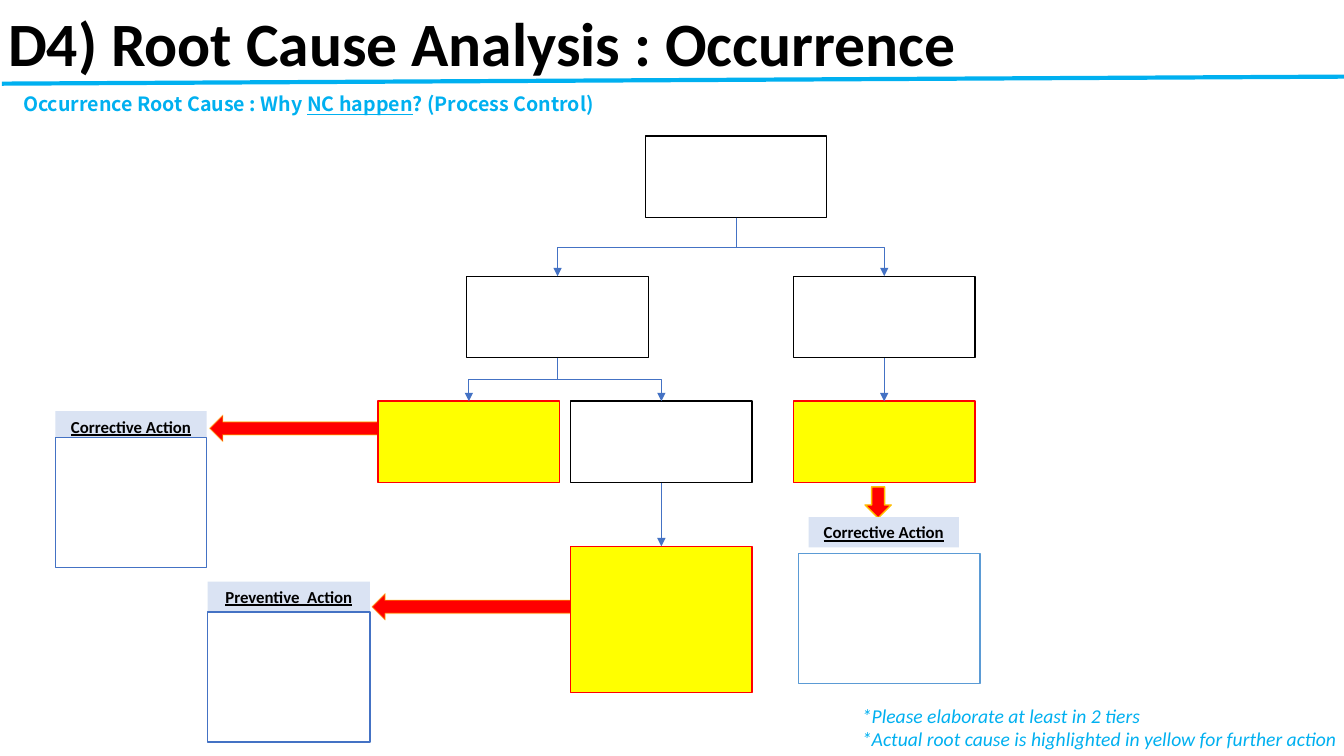
import pptx
import pptx.util
import pptx.dml.color
import pptx.enum.shapes
import pptx.enum.text
from dataclasses import dataclass
from lxml import etree

# Content
TITLE = "D4) Root Cause Analysis : Occurrence"
LEAD = [[("Occurrence Root Cause : Why ", False), ("NC happen", True),
         ("? (Process Control)", False)]]
NOTES = ["*Please elaborate at least in 2 tiers",
         "*Actual root cause is highlighted in yellow for further action"]

# Grid in inches: column centres, row tops, box size
COLS = {"a": 4.65, "b": 5.53, "c": 6.56, "d": 7.3, "e": 8.77}
ROWS = [1.35, 2.74, 3.98, 5.42]
WIDE, HIGH, DEEP = 1.8, 0.81, 1.45
HEAD, BODY = 0.3, 1.29

# Cause boxes: column, row, is root cause
CAUSES = {"top": ("d", 0, False), "left": ("b", 1, False),
          "right": ("e", 1, False), "root1": ("a", 2, True),
          "mid": ("c", 2, False), "root2": ("e", 2, True),
          "root3": ("c", 3, True)}
LINKS = [("top", "left"), ("top", "right"), ("left", "root1"),
         ("left", "mid"), ("right", "root2"), ("mid", "root3")]

# Actions: text, head (left, top, width), body (left, top, width), line colour
ACTIONS = [("Corrective Action", (0.55, 4.08, 1.5), (0.55, 4.34, 1.5), "blue"),
           ("Preventive  Action", (2.06, 5.77, 1.61), (2.06, 6.07, 1.61), "blue"),
           ("Corrective Action", (8.02, 5.13, 1.49), (7.92, 5.49, WIDE), "sky")]
# Block arrows: kind, box, line opacity in percent
ARROWS = [("LEFT_ARROW", (2.08, 4.12, 2.06, 0.26), 40),
          ("LEFT_ARROW", (3.69, 5.89, 2.06, 0.26), 40),
          ("DOWN_ARROW", (8.58, 4.83, 0.26, 0.31), 100)]


@dataclass
class Theme:
    font: str = "Calibri"
    lead: str = "Noto Sans CJK JP"
    black: str = "000000"
    white: str = "FFFFFF"
    cyan: str = "00B0F0"
    red: str = "FF0000"
    gold: str = "FFC000"
    yellow: str = "FFFF00"
    pale: str = "DAE3F3"
    blue: str = "4472C4"
    sky: str = "5B9BD5"
    title: int = 44
    text: int = 14
    label: int = 12


T = Theme()
Inch, Pt = pptx.util.Inches, pptx.util.Pt
Shape = pptx.enum.shapes.MSO_SHAPE
Kind = pptx.enum.shapes.MSO_CONNECTOR
Align = pptx.enum.text.PP_ALIGN
Anchor = pptx.enum.text.MSO_ANCHOR
rgb = pptx.dml.color.RGBColor.from_string
qn = pptx.oxml.ns.qn

deck = pptx.Presentation()
deck.slide_width, deck.slide_height = Inch(13.33), Inch(7.5)
slide = deck.slides.add_slide(deck.slide_layouts[5])
shapes = slide.shapes


def write(shape, lines, size=T.text, font=T.font, color=T.black, bold=False,
          italic=False, under=False, align=Align.LEFT, anchor=Anchor.TOP, wrap=True):
    """Each line is a string or a list of (text, underlined) runs."""
    frame = shape.text_frame
    frame.word_wrap = wrap
    frame.auto_size = pptx.enum.text.MSO_AUTO_SIZE.NONE
    frame.vertical_anchor = anchor
    for i, line in enumerate(lines):
        par = frame.add_paragraph() if i else frame.paragraphs[0]
        par.alignment, par.line_spacing = align, 1.0
        par.space_before = Pt(0)
        for text, mark in [(line, under)] if isinstance(line, str) else line:
            run = par.add_run()
            run.text = text
            face = run.font
            face.name, face.size, face.color.rgb = font, Pt(size), rgb(color)
            face.bold, face.italic, face.underline = bold, italic, mark


def draw(kind, spot, fill, line=None):
    shape = shapes.add_shape(kind, *map(Inch, spot))
    shape.shadow.inherit = False
    shape.fill.solid()
    shape.fill.fore_color.rgb = rgb(fill)
    if line:
        shape.line.color.rgb, shape.line.width = rgb(line), Pt(1)
    else:
        shape.line.fill.background()
    return shape


def join(kind, ends, color, width, tip=False):
    wire = shapes.add_connector(kind, *map(Inch, ends))
    wire.line.color.rgb, wire.line.width = rgb(color), Pt(width)
    if tip:
        etree.SubElement(wire.line._get_or_add_ln(), qn("a:tailEnd"), type="triangle")
    etree.SubElement(wire._element.spPr, qn("a:effectLst"))
    return wire


def link(start, end):
    """Join the foot of one cause to the top of the next."""
    (x1, top, high), (x2, y2, _) = place(start), place(end)
    y1 = top + high
    if x1 == x2:
        join(Kind.STRAIGHT, (x1, y1, x2, y2), T.blue, 0.5, True)
        return
    # A turned elbow leaves the box downwards
    midx, midy = (x1 + x2) / 2, (y1 + y2) / 2
    dx, dy = abs(x2 - x1) / 2, (y2 - y1) / 2
    side = 1 if x2 > x1 else -1
    wire = join(Kind.ELBOW, (midx + side * dy, midy - dx, midx - side * dy, midy + dx),
                T.blue, 0.5, True)
    wire._element.spPr.find(qn("a:xfrm")).set("rot", "16200000" if side > 0 else "5400000")


def place(name):
    col, row, _ = CAUSES[name]
    return COLS[col], ROWS[row], DEEP if row == 3 else HIGH


# Title, rule, lead and notes
title = shapes.title
title.left, title.top, title.width, title.height = map(Inch, (-0.02, 0, 13.33, 0.84))
write(title, [TITLE], size=T.title, bold=True)
lead = shapes.add_textbox(*map(Inch, (0.13, 0.86, 7.98, 0.34)))
write(lead, LEAD, font=T.lead, color=T.cyan, bold=True)
join(Kind.STRAIGHT, (0.02, 0.83, 13.37, 0.76), T.cyan, 3)
notes = shapes.add_textbox(*map(Inch, (8.45, 6.93, 4.95, 0.57)))
write(notes, NOTES, color=T.cyan, italic=True, wrap=False)

# Block arrows, behind the boxes
for kind, spot, solid in ARROWS:
    arrow = draw(Shape[kind], spot, T.red, T.gold)
    tint = arrow.line._get_or_add_ln().find(".//" + qn("a:srgbClr"))
    etree.SubElement(tint, qn("a:alpha"), val=str(solid * 1000))

# Actions
for text, head, body, edge in ACTIONS:
    label = draw(Shape.RECTANGLE, (*head, HEAD), T.pale)
    write(label, [text], size=T.label, bold=True, under=True,
          align=Align.CENTER, anchor=Anchor.MIDDLE)
    draw(Shape.RECTANGLE, (*body, BODY), T.white, getattr(T, edge))

# Cause tree
for name, (_, _, root) in CAUSES.items():
    mid, top, high = place(name)
    draw(Shape.RECTANGLE, (mid - WIDE / 2, top, WIDE, high),
         T.yellow if root else T.white, T.red if root else T.black)
for start, end in LINKS:
    link(start, end)

deck.save("out.pptx")
